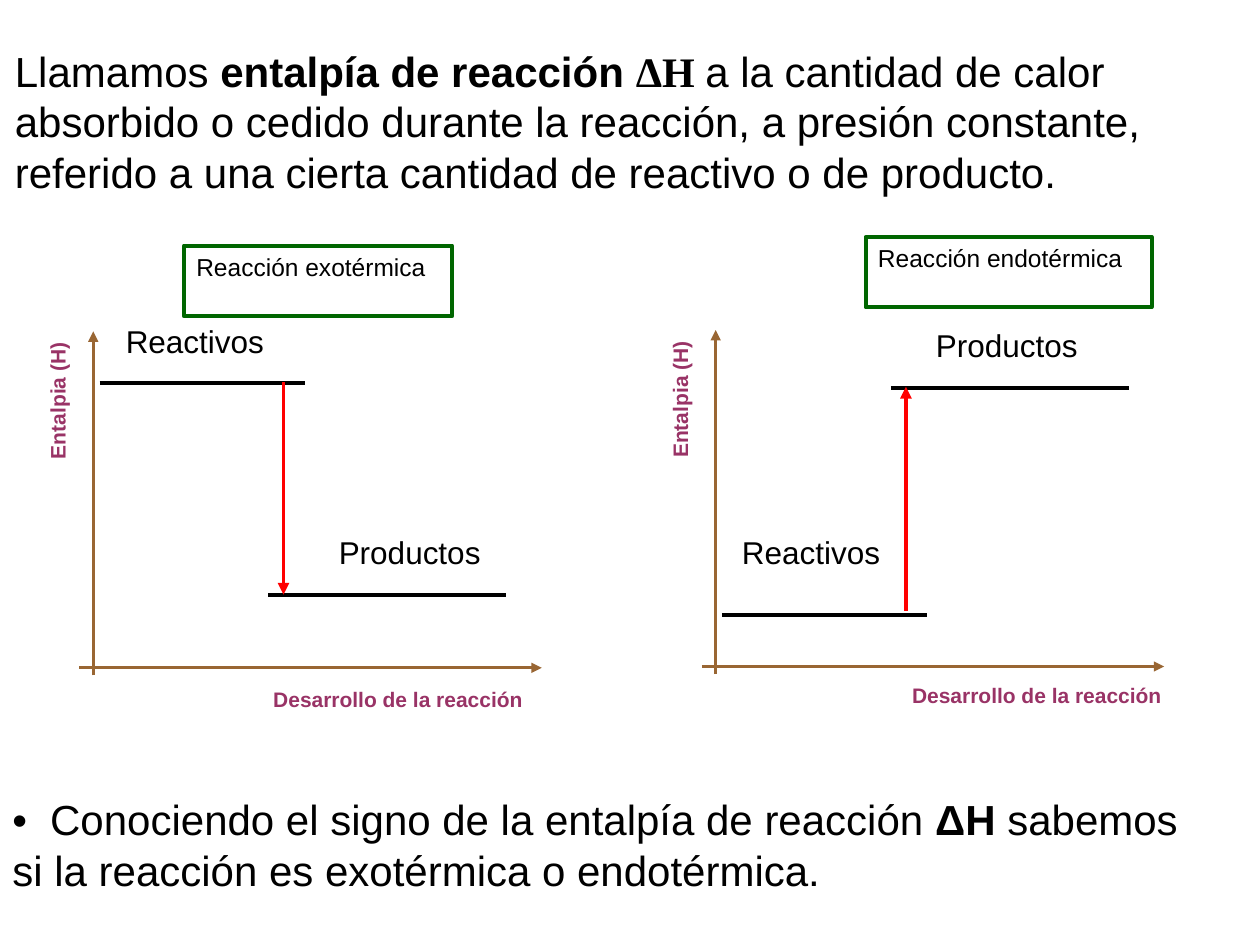
"""Slide on reaction enthalpy with exothermic and endothermic energy diagrams."""
from dataclasses import dataclass

from lxml.etree import SubElement
from pptx import Presentation
from pptx.dml.color import RGBColor
from pptx.enum.shapes import MSO_CONNECTOR, MSO_SHAPE
from pptx.enum.text import MSO_ANCHOR, PP_ALIGN
from pptx.oxml.ns import qn
from pptx.util import Inches, Pt


@dataclass(frozen=True)
class Theme:
    font: str = "Arial"
    symbol_font: str = "Times New Roman"
    ink: str = "000000"
    frame: str = "006600"
    axis: str = "996633"
    axis_label: str = "993366"
    change: str = "FF0000"
    body: int = 24
    level: int = 18
    heading: int = 14
    caption: int = 12
    thin: float = 1.5
    thick: float = 2.25


theme = Theme()
deck = Presentation()
deck.slide_width, deck.slide_height = Inches(10), Inches(7.5)
slide = deck.slides.add_slide(deck.slide_layouts[6])
COL, ROW = deck.slide_width / 100, deck.slide_height / 75


def write(x, y, width, height, runs, size, color=theme.ink, bold=None, frame=None):
    area = int(x * COL), int(y * ROW), int(width * COL), int(height * ROW)
    if frame:
        box = slide.shapes.add_shape(MSO_SHAPE.RECTANGLE, *area)
        box.shadow.inherit = False
        box.fill.background()
        box.line.color.rgb = RGBColor.from_string(frame)
        box.line.width = Pt(theme.thick)
    else:
        box = slide.shapes.add_textbox(*area)
    box.text_frame.word_wrap = True
    box.text_frame.vertical_anchor = MSO_ANCHOR.TOP
    paragraph = box.text_frame.paragraphs[0]
    paragraph.alignment = PP_ALIGN.LEFT
    for words, run_bold, run_font in runs:
        run = paragraph.add_run()
        run.text = words
        run.font.bold = run_bold
        run.font.name = run_font
    paragraph.font.name = theme.font
    paragraph.font.size = Pt(size)
    paragraph.font.bold = bold
    paragraph.font.color.rgb = RGBColor.from_string(color)
    return box


def draw(x1, y1, x2, y2, color, weight, arrow=False):
    stroke = slide.shapes.add_connector(
        MSO_CONNECTOR.STRAIGHT, int(x1 * COL), int(y1 * ROW), int(x2 * COL), int(y2 * ROW)
    )
    stroke.line.color.rgb = RGBColor.from_string(color)
    stroke.line.width = Pt(weight)
    if arrow:
        SubElement(stroke.line._get_or_add_ln(), qn("a:tailEnd"), type="triangle")
    SubElement(stroke._element.spPr, qn("a:effectLst"))


write(0.2, 3.1, 99.8, 13.1, [
    ("Llamamos ", None, None),
    ("entalpía de reacción ", True, None),
    ("ΔH ", True, theme.symbol_font),
    ("a la cantidad de calor absorbido o cedido durante la reacción, a presión "
     "constante, referido a una cierta cantidad de reactivo o de producto.", None, None),
], theme.body)

diagrams = [
    dict(origin=(7.4, 53), heading=("Reacción exotérmica", 7.2, 19.5, 21.3),
         reactants=(30.4, 1.6, 5.3), products=(47.2, 18.5, 5.4),
         change=(30.3, 47.2), progress=(13.3, 1)),
    dict(origin=(56.8, 52.9), heading=("Reacción endotérmica", 11.9, 18.8, 22.7),
         reactants=(48.8, 1.1, 7), products=(30.8, 16.5, 5.4),
         change=(48.5, 30.7), progress=(14.6, 0.8)),
]

for diagram in diagrams:
    left, base = diagram["origin"]
    heading, heading_x, heading_y, heading_width = diagram["heading"]
    write(left + heading_x, heading_y, heading_width, 5.6, [(heading, None, None)],
          theme.heading, frame=theme.frame)

    enthalpy = write(left - 11.6, base - 23.1, 18.3, 3.8, [("Entalpia (H)", None, None)],
                     theme.caption, theme.axis_label, True)
    enthalpy.rotation = 270
    enthalpy.text_frame.paragraphs[0].alignment = PP_ALIGN.CENTER
    progress_x, progress_y = diagram["progress"]
    write(left + progress_x, base + progress_y, 25.1, 4.6,
          [("Desarrollo de la reacción", None, None)], theme.caption, theme.axis_label, True)

    draw(left, base + 0.6, left, base - 26.7, theme.axis, theme.thin, True)
    draw(left - 1.1, base, left + 35.6, base, theme.axis, theme.thin, True)

    for label, key, start, length, label_width in [
        ("Reactivos", "reactants", 0.5, 16.3, 14.3),
        ("Productos", "products", 13.9, 18.9, 14.5),
    ]:
        level, label_x, rise = diagram[key]
        draw(left + start, level, left + start + length, level, theme.ink, theme.thick)
        write(left + label_x, level - rise, label_width, 6.2, [(label, None, None)], theme.level)

    before, after = diagram["change"]
    draw(left + 15.1, before, left + 15.1, after, theme.change, theme.thick, True)

conclusion = write(0, 62.5, 97.3, 9.1, [
    ("•\tConociendo el signo de la entalpía de reacción ", None, None),
    ("ΔH", True, None),
    (" sabemos si la reacción es exotérmica o endotérmica.", None, None),
], theme.body)
properties = conclusion.text_frame.paragraphs[0]._p.get_or_add_pPr()
tabs = properties.makeelement(qn("a:tabLst"))
SubElement(tabs, qn("a:tab"), pos=str(int(3 * COL)), algn="l")
properties.insert(0, tabs)

deck.save("out.pptx")
